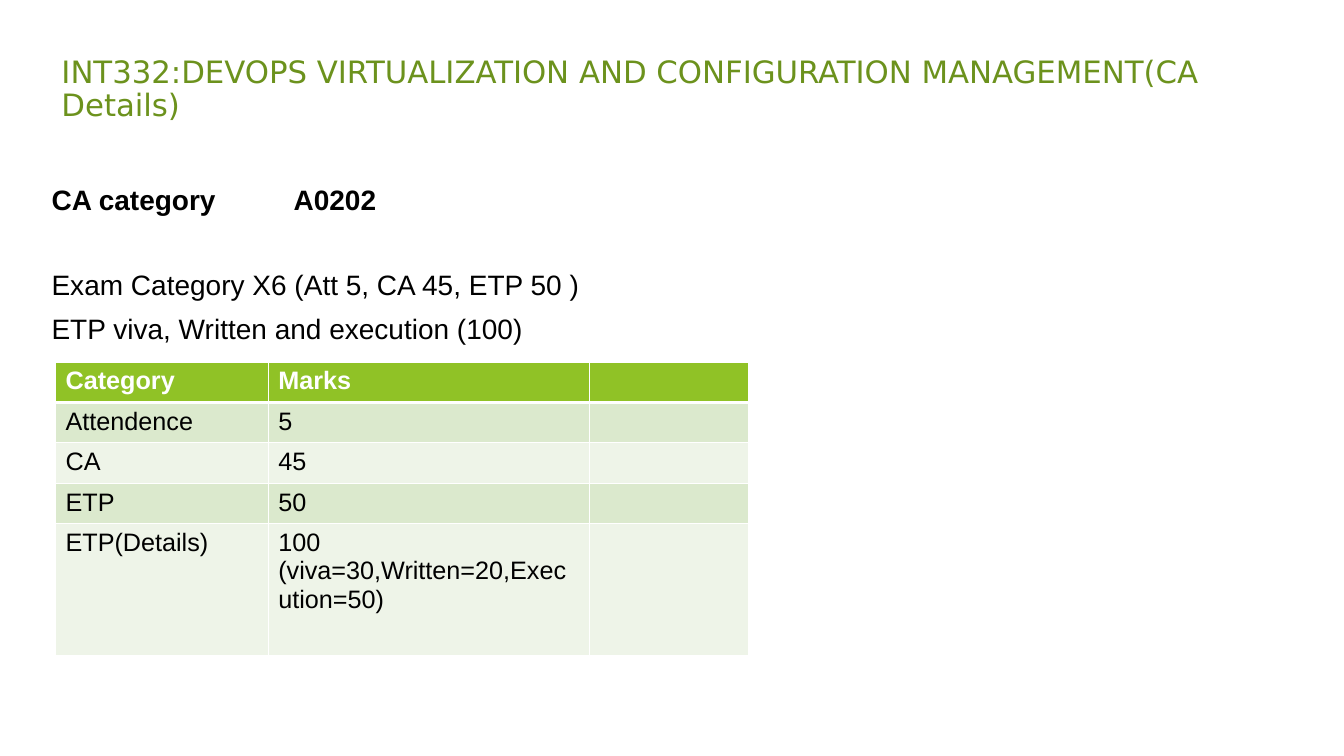
from lxml.etree import SubElement
from pptx import Presentation
from pptx.dml.color import RGBColor
from pptx.oxml.ns import qn
from pptx.util import Cm, Pt


def color(value):
    return RGBColor.from_string(value)


class CourseSlide:
    """Draws the text and table of one slide in the course style."""

    body_font = "Arial"
    title_font = "DejaVu Sans"
    title_green = "6C921D"
    header_green = "90C226"
    bands = ("DBE9CD", "EEF4E8")
    black = "000000"
    white = "FFFFFF"

    def __init__(self, presentation):
        self.slide = presentation.slides.add_slide(presentation.slide_layouts[6])

    def format_runs(self, paragraph, font_name, size, value, bold=False):
        for run in paragraph.runs:
            run.font.name = font_name
            run.font.size = Pt(size)
            run.font.bold = bold
            run.font.color.rgb = color(value)

    def add_title(self, text, left, top, width, height):
        shape = self.slide.shapes.add_textbox(Cm(left), Cm(top), Cm(width), Cm(height))
        shape.text_frame.word_wrap = True
        shape.text_frame.text = text
        paragraph = shape.text_frame.paragraphs[0]
        paragraph.line_spacing = 0.9
        self.format_runs(paragraph, self.title_font, 22, self.title_green)

    def add_body(self, lines, left, top, width, height, tab):
        shape = self.slide.shapes.add_textbox(Cm(left), Cm(top), Cm(width), Cm(height))
        frame = shape.text_frame
        frame.word_wrap = True
        frame.margin_left = frame.margin_right = 0
        frame.margin_top = frame.margin_bottom = 0
        frame.text = "\n".join(text for text, bold, space_before in lines)
        for paragraph, (text, bold, space_before) in zip(frame.paragraphs, lines):
            if "\t" in text:
                properties = paragraph._p.get_or_add_pPr()
                tab_list = SubElement(properties, qn("a:tabLst"))
                SubElement(tab_list, qn("a:tab"), pos=str(Cm(tab)), algn="l")
            paragraph.space_before = Pt(space_before)
            paragraph.space_after = Pt(7)
            self.format_runs(paragraph, self.body_font, 20, self.black, bold)

    def add_borders(self, cell, widths):
        properties = cell._tc.get_or_add_tcPr()
        for side, width in zip("LRTB", widths):
            line = SubElement(properties, qn(f"a:ln{side}"), w=str(Pt(width)))
            fill = SubElement(line, qn("a:solidFill"))
            SubElement(fill, qn("a:srgbClr"), val=self.white)

    def add_table(self, rows, left, top, column_widths, row_heights):
        table = self.slide.shapes.add_table(
            len(rows), len(column_widths), Cm(left), Cm(top),
            Cm(sum(column_widths)), Cm(sum(row_heights))).table
        for column, width in zip(table.columns, column_widths):
            column.width = Cm(width)
        for row_index, texts in enumerate(rows):
            table.rows[row_index].height = Cm(row_heights[row_index])
            header = row_index == 0
            fill = self.header_green if header else self.bands[(row_index - 1) % 2]
            text_color = self.white if header else self.black
            top_width = 3 if row_index == 1 else 1
            bottom_width = 3 if header else 1
            for column_index, text in enumerate(texts):
                cell = table.cell(row_index, column_index)
                self.add_borders(cell, (1, 1, top_width, bottom_width))
                cell.fill.solid()
                cell.fill.fore_color.rgb = color(fill)
                cell.text_frame.text = text
                for paragraph in cell.text_frame.paragraphs:
                    self.format_runs(paragraph, self.body_font, 18, text_color, header)


def main():
    presentation = Presentation()
    presentation.slide_width = Cm(33.87)
    presentation.slide_height = Cm(19.05)
    course = CourseSlide(presentation)
    course.add_title(
        "INT332:DEVOPS VIRTUALIZATION AND CONFIGURATION MANAGEMENT(CA Details)",
        1.3, 1.3, 32.05, 2.46)
    course.add_body([
        ("CA category\tA0202", True, 0),
        ("Exam Category X6 (Att 5, CA 45, ETP 50 )", False, 30),
        ("ETP viva, Written and execution (100)", False, 0),
    ], 1.3, 4.6, 30.68, 4.4, tab=6.1)
    course.add_table([
        ("Category", "Marks", ""),
        ("Attendence", "5", ""),
        ("CA", "45", ""),
        ("ETP", "50", ""),
        ("ETP(Details)", "100\n(viva=30,Written=20,Execution=50)", ""),
    ], 1.4, 9.12, (5.36, 8.1, 4), (1.02,) * 4 + (3.33,))
    presentation.save("out.pptx")


if __name__ == "__main__":
    main()
